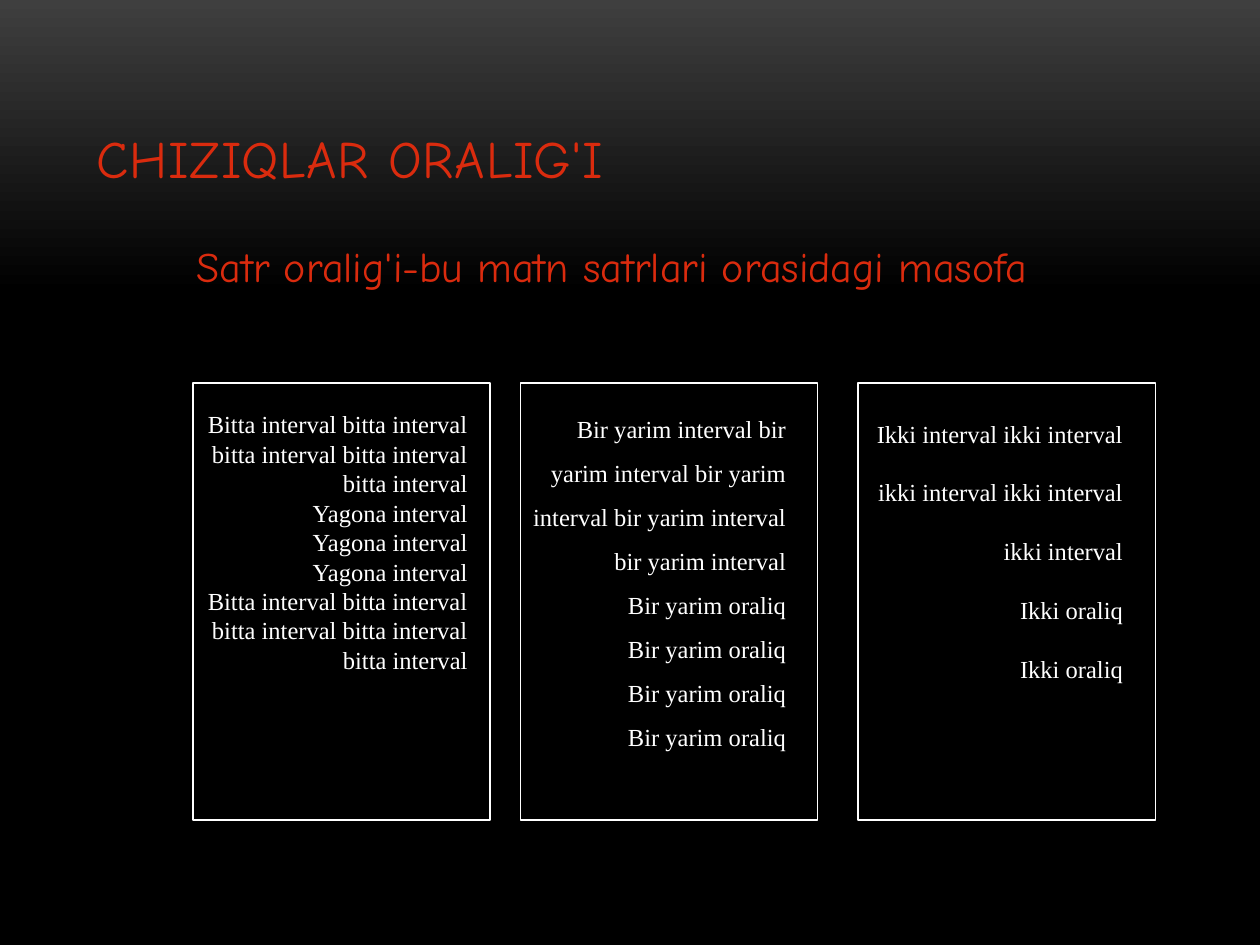
from pptx import Presentation
from pptx.dml.color import RGBColor
from pptx.enum.shapes import MSO_SHAPE
from pptx.enum.text import MSO_ANCHOR, PP_ALIGN
from pptx.util import Cm, Pt

RED, WHITE, BLACK = "DA2B0E", "FFFFFF", "000000"
BOX_TOP, BOX_W, BOX_H = 7.72, 5.99, 8.81
SINGLE = "Bitta interval bitta interval bitta interval bitta interval bitta interval"
ONE_HALF = ("Bir yarim interval bir yarim interval bir yarim interval "
            "bir yarim interval bir yarim interval")
DOUBLE = "Ikki interval ikki interval ikki interval ikki interval ikki interval"
SAMPLES = [
    (3.89, (3.89, 8.13, 5.79, 7.92), 1.0, [SINGLE] + ["Yagona interval"] * 3 + [SINGLE]),
    (10.49, (10.31, 7.92, 5.79, 8.23), 1.5, [ONE_HALF] + ["Bir yarim oraliq"] * 4),
    (17.3, (17.3, 7.72, 5.59, 8.53), 2.0, [DOUBLE] + ["Ikki oraliq"] * 2),
]


def rgb(value):
    """Turn a hex string into a colour."""
    return RGBColor.from_string(value)


def set_background(s):
    """Fill the slide with a grey to black gradient from the top."""
    fill = s.background.fill
    fill.gradient()
    fill.gradient_angle = 270
    for stop, position, color in zip(fill.gradient_stops, (0, 0.31), ("3F3F3F", BLACK)):
        stop.position = position
        stop.color.rgb = rgb(color)


def add_text(shapes, lines, box, size=14, font="Times New Roman", color=WHITE,
             align=PP_ALIGN.LEFT, anchor=MSO_ANCHOR.TOP, line_spacing=1.0, tracking=0):
    """Add a wrapped text box with one paragraph per line."""
    tf = shapes.add_textbox(*map(Cm, box)).text_frame
    tf.word_wrap = True
    tf.vertical_anchor = anchor
    for i, line in enumerate(lines):
        p = tf.paragraphs[0] if i == 0 else tf.add_paragraph()
        p.alignment = align
        p.line_spacing = line_spacing
        r = p.add_run()
        r.text = line
        r.font.size = Pt(size)
        r.font.name = font
        r.font.color.rgb = rgb(color)
        if tracking:
            r._r.get_or_add_rPr().set("spc", str(int(tracking * 100)))


def add_frame(shapes, left):
    """Add a black rectangle with a thin white outline."""
    sp = shapes.add_shape(MSO_SHAPE.RECTANGLE, Cm(left), Cm(BOX_TOP), Cm(BOX_W), Cm(BOX_H))
    sp.shadow.inherit = False
    sp.fill.solid()
    sp.fill.fore_color.rgb = rgb(BLACK)
    sp.line.color.rgb = rgb(WHITE)
    sp.line.width = Pt(0.75)


def main():
    """Build the slide on line spacing and save it."""
    prs = Presentation()
    prs.slide_width, prs.slide_height = Cm(25.4), Cm(19.05)
    s = prs.slides.add_slide(prs.slide_layouts[6])
    set_background(s)
    add_text(s.shapes, ["CHIZIQLAR ORALIG'I"], (1.7, 0.76, 22.02, 3.18), size=30,
             font="Comic Neue", color=RED, anchor=MSO_ANCHOR.BOTTOM, tracking=0.5)
    add_text(s.shapes, ["Satr oralig'i-bu matn satrlari orasidagi masofa"],
             (3.71, 4.72, 21.01, 2.29), size=24, font="Comic Neue", color=RED)
    for left, text_box, line_spacing, lines in SAMPLES:
        shapes = s.shapes.add_group_shape().shapes
        add_frame(shapes, left)
        add_text(shapes, lines, text_box, align=PP_ALIGN.RIGHT, line_spacing=line_spacing)
    prs.save("out.pptx")


if __name__ == "__main__":
    main()
